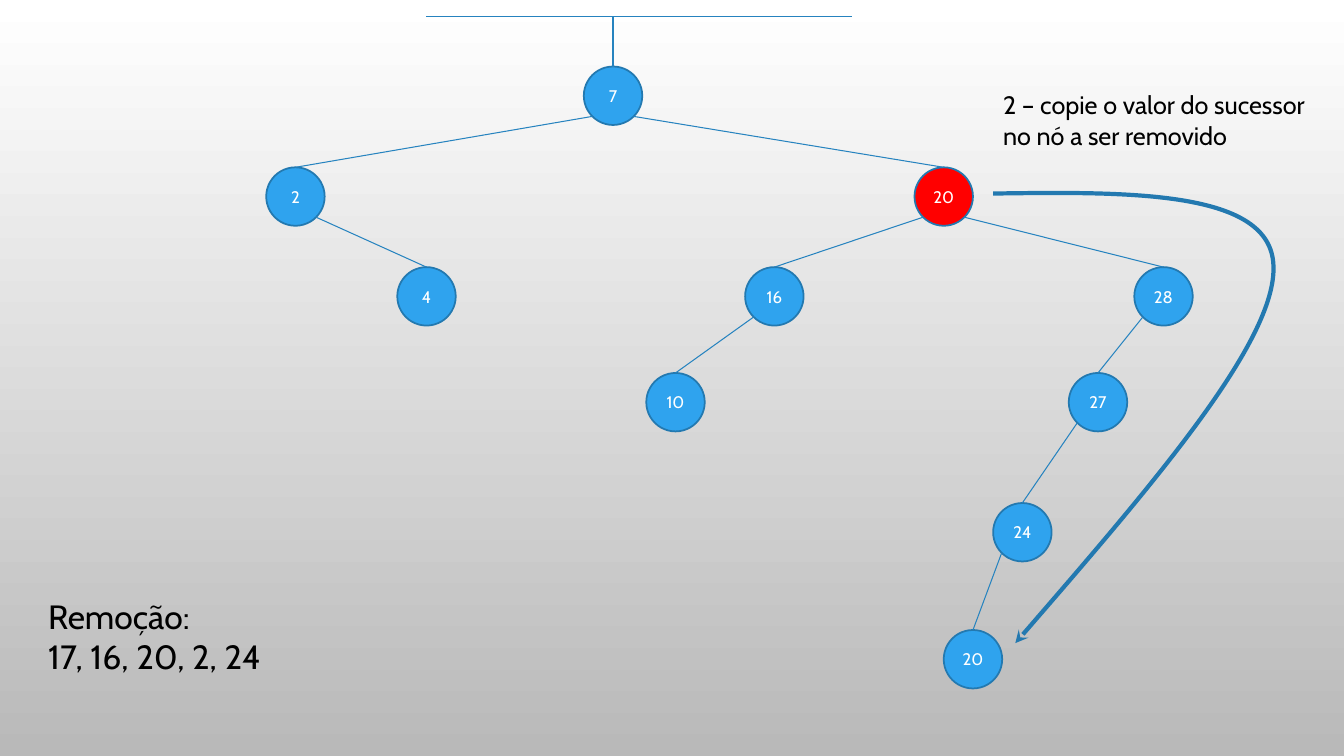
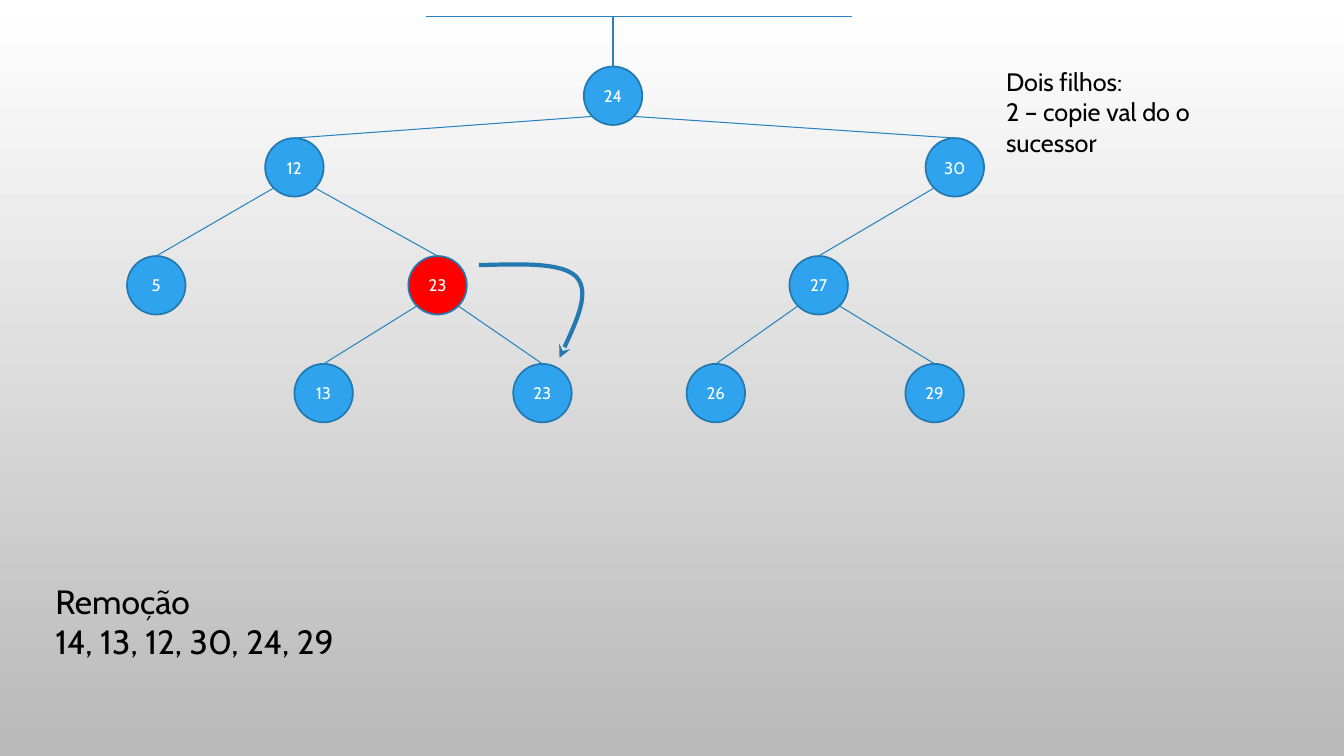
import math
from dataclasses import dataclass

from lxml import etree
from pptx import Presentation
from pptx import util as u
from pptx.dml.color import RGBColor
from pptx.enum import shapes, text
from pptx.oxml import ns


@dataclass(frozen=True)
class Theme:
    font: str = "Cabin"
    ink: str = "000000"
    node_ink: str = "FFFFFF"
    node_fill: str = "2FA3EE"
    removed_fill: str = "FF0000"
    outline: str = "2379B0"
    edge: str = "2683BF"
    sky: str = "FFFFFF"
    ground: str = "B9B9B9"
    caption_size: int = 24
    note_size: int = 18
    node_size: int = 12
    edge_width: float = 0.75
    outline_width: float = 1.25
    arrow_width: int = 3


@dataclass(frozen=True)
class Node:
    """A tree node centred on a grid column; its depth gives the row."""
    value: int
    column: float
    children: tuple = ()
    removed: bool = False


THEME = Theme()
DIAMETER = 5.8
RAIL_ROW = 1.6
RAIL_COLUMNS = (42.3, 84.5)


def cells(count):
    """Length of a number of grid cells, ten to the inch."""
    return u.Inches(count / 10)


def set_line(line, colour, width):
    line.color.rgb = RGBColor.from_string(colour)
    line.width = u.Pt(width)


def set_background(master):
    fill = master.background.fill
    fill.gradient()
    fill.gradient_angle = 270
    for stop, colour in zip(fill.gradient_stops, (THEME.sky, THEME.ground)):
        stop.color.rgb = RGBColor.from_string(colour)


def add_span(para, words, size, colour):
    span = para.add_run()
    span.text = words
    span.font.name = THEME.font
    span.font.size = u.Pt(size)
    span.font.color.rgb = RGBColor.from_string(colour)


def add_text(page, column, row, width, height, lines, size):
    box = page.shapes.add_textbox(*map(cells, (column, row, width, height)))
    frame = box.text_frame
    frame.word_wrap = True
    for index, words in enumerate(lines):
        para = frame.add_paragraph() if index else frame.paragraphs[0]
        add_span(para, words, size, THEME.ink)


def add_edge(page, start, end):
    edge = page.shapes.add_connector(
        shapes.MSO_CONNECTOR.STRAIGHT, *map(cells, (*start, *end)))
    set_line(edge.line, THEME.edge, THEME.edge_width)
    etree.SubElement(edge.element.spPr, ns.qn("a:effectLst"))
    return edge


def add_node(page, node, row):
    corner = (node.column - DIAMETER / 2, row - DIAMETER / 2)
    circle = page.shapes.add_shape(
        shapes.MSO_SHAPE.OVAL, *map(cells, (*corner, DIAMETER, DIAMETER)))
    circle.shadow.inherit = False
    circle.fill.solid()
    circle.fill.fore_color.rgb = RGBColor.from_string(
        THEME.removed_fill if node.removed else THEME.node_fill)
    set_line(circle.line, THEME.outline, THEME.outline_width)
    frame = circle.text_frame
    frame.word_wrap = False
    frame.margin_left = frame.margin_right = 0
    frame.margin_top = frame.margin_bottom = 0
    frame.vertical_anchor = text.MSO_ANCHOR.MIDDLE
    para = frame.paragraphs[0]
    para.alignment = text.PP_ALIGN.CENTER
    add_span(para, str(node.value), THEME.node_size, THEME.node_ink)
    return circle


def add_subtree(page, node, rows):
    """Draw a node and its descendants; each edge leaves at 45 degrees."""
    circle = add_node(page, node, rows[0])
    reach = DIAMETER / 2 * math.sqrt(0.5)
    for child in node.children:
        side = math.copysign(reach, child.column - node.column)
        child_circle = add_subtree(page, child, rows[1:])
        start = (node.column + side, rows[0] + reach)
        end = (child.column, rows[1] - DIAMETER / 2)
        add_edge(page, start, end).end_connect(child_circle, 0)
    return circle


def add_tree(page, root, rows):
    left, right = RAIL_COLUMNS
    add_edge(page, (left, RAIL_ROW), (right, RAIL_ROW))
    circle = add_subtree(page, root, rows)
    top = (root.column, rows[0] - DIAMETER / 2)
    add_edge(page, (root.column, RAIL_ROW), top).end_connect(circle, 0)


def add_curved_arrow(page, start, *points):
    """Draw cubic curves, each given by two control points and an end."""
    builder = page.shapes.build_freeform(*map(cells, start))
    builder.add_line_segments(
        [tuple(map(cells, point)) for point in points], close=False)
    arrow = builder.convert_to_shape()
    arrow.shadow.inherit = False
    arrow.fill.background()
    set_line(arrow.line, THEME.outline, THEME.arrow_width)
    properties = arrow.element.spPr
    segments = list(properties.iter(ns.qn("a:lnTo")))
    for index in range(0, len(segments), 3):
        curve = etree.Element(ns.qn("a:cubicBezTo"))
        segments[index].addprevious(curve)
        for segment in segments[index:index + 3]:
            curve.append(segment[0])
            segment.getparent().remove(segment)
    outline = properties.find(ns.qn("a:ln"))
    etree.SubElement(outline, ns.qn("a:tailEnd"), type="stealth")


def add_page(deck):
    return deck.slides.add_slide(deck.slide_layouts[6])


def add_successor_page(deck):
    page = add_page(deck)
    root = Node(7, 60.8, (
        Node(2, 29.3, (Node(4, 42.3),)),
        Node(20, 93.6, (
            Node(16, 76.8, (Node(10, 67),)),
            Node(28, 115.4, (
                Node(27, 108.9, (Node(24, 101.4, (Node(20, 96.5),)),)),
            )),
        ), removed=True),
    ))
    add_tree(page, root, (9.5, 19.5, 29.4, 39.9, 52.8, 65.4))
    add_curved_arrow(page, (98.5, 19.2),
                     (112.2, 19), (126, 18.9), (126.3, 26.3),
                     (126.7, 33.8), (113.7, 48.8), (100.7, 63.8))
    add_text(page, 3.8, 58.6, 40, 9.1,
             ("Remoção:", "17, 16, 20, 2, 24"), THEME.caption_size)
    add_text(page, 98.5, 8.4, 33.5, 7.1,
             ("2 – copie o valor do sucessor", "no nó a ser removido"),
             THEME.note_size)


def add_two_children_page(deck):
    page = add_page(deck)
    root = Node(24, 60.8, (
        Node(12, 29.2, (
            Node(5, 15.5),
            Node(23, 43.4, (Node(13, 32.1), Node(23, 53.8)), removed=True),
        )),
        Node(30, 94.7, (
            Node(27, 81.2, (Node(26, 71), Node(29, 92.7))),
        )),
    ))
    add_tree(page, root, (9.5, 16.6, 28.3, 39))
    add_curved_arrow(page, (47.5, 26.3),
                     (51.7, 26.2), (55.8, 26), (57.2, 27.5),
                     (58.5, 29), (57, 32.3), (55.5, 35.5))
    add_text(page, 4.5, 57.1, 40, 9.1,
             ("Remoção", "14, 13, 12, 30, 24, 29"), THEME.caption_size)
    add_text(page, 98.8, 6.1, 26, 10,
             ("Dois filhos:", "2 – copie val do o sucessor"),
             THEME.note_size)


def main():
    deck = Presentation()
    deck.slide_width = u.Inches(13.33)
    deck.slide_height = u.Inches(7.5)
    set_background(deck.slide_master)
    add_successor_page(deck)
    add_two_children_page(deck)
    deck.save("out.pptx")


if __name__ == "__main__":
    main()
